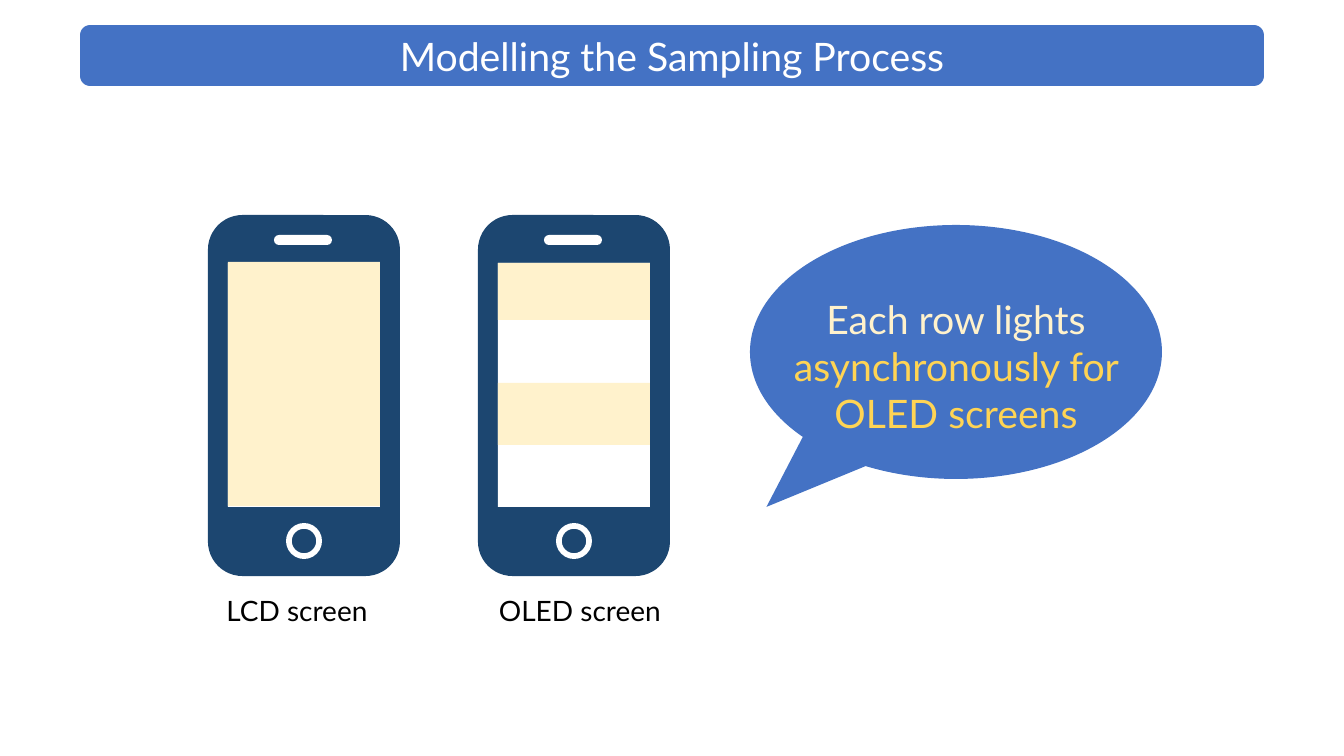
from dataclasses import dataclass

from pptx import Presentation
from pptx.dml.color import RGBColor
from pptx.enum.shapes import MSO_SHAPE
from pptx.enum.text import MSO_ANCHOR, PP_ALIGN
from pptx.util import Emu, Pt

RECTANGLE = MSO_SHAPE.RECTANGLE
ROUNDED = MSO_SHAPE.ROUNDED_RECTANGLE
RING = MSO_SHAPE.DONUT
SPEECH_BUBBLE = MSO_SHAPE.OVAL_CALLOUT
CENTER = PP_ALIGN.CENTER
MIDDLE = MSO_ANCHOR.MIDDLE
TOP = MSO_ANCHOR.TOP


@dataclass(frozen=True)
class Theme:
    font: str = "Lato"
    blue: str = "4472C4"
    navy: str = "1C4670"
    cream: str = "FFF2CC"
    yellow: str = "FFD454"
    white: str = "FFFFFF"
    black: str = "000000"
    large: int = 28
    label: int = 20


@dataclass(frozen=True)
class Box:
    left: int
    top: int
    width: int
    height: int


@dataclass(frozen=True)
class LitRow:
    top: int
    height: int


@dataclass(frozen=True)
class Phone:
    left: int
    label: str
    label_width: int
    lit_rows: tuple[LitRow, ...]


@dataclass(frozen=True)
class Line:
    text: str
    color: str
    size: int


THEME = Theme()
EMU_PER_PX = 12192000 / 1344
PAGE_WIDTH, PAGE_HEIGHT = 1344, 756

TITLE_BOX = Box(80, 25, 1184, 61)
BUBBLE_BOX = Box(750, 225, 412, 254)
BUBBLE_TEXT_BOX = Box(750, 225, 412, 281)
BUBBLE_TAIL = (-0.46, 0.61)

PHONES = (
    Phone(208, "LCD screen", 178, (LitRow(262, 244),)),
    Phone(478, "OLED screen", 204, (LitRow(263, 57), LitRow(383, 62))),
)


def px(length: int) -> Emu:
    return Emu(round(length * EMU_PER_PX))


def place(box: Box) -> tuple[Emu, Emu, Emu, Emu]:
    return px(box.left), px(box.top), px(box.width), px(box.height)


def add_filled(shapes, kind, box: Box, color: str, adjustments: tuple[float, ...] = ()):
    shape = shapes.add_shape(kind, *place(box))
    shape.shadow.inherit = False
    shape.fill.solid()
    shape.fill.fore_color.rgb = RGBColor.from_string(color)
    shape.line.fill.background()
    for index, value in enumerate(adjustments):
        shape.adjustments[index] = value
    return shape


def write(shape, lines: tuple[Line, ...], anchor) -> None:
    frame = shape.text_frame
    frame.word_wrap = True
    frame.vertical_anchor = anchor
    for index, line in enumerate(lines):
        para = frame.add_paragraph() if index else frame.paragraphs[0]
        para.text = line.text
        para.alignment = CENTER
        para.font.name = THEME.font
        para.font.size = Pt(line.size)
        para.font.color.rgb = RGBColor.from_string(line.color)


def add_phone(page, phone: Phone) -> None:
    left = phone.left
    # Case, screen, speaker and home button
    parts = page.shapes.add_group_shape().shapes
    add_filled(parts, ROUNDED, Box(left, 215, 192, 361), THEME.navy, (0.18,))
    add_filled(parts, RECTANGLE, Box(left + 20, 263, 152, 244), THEME.white)
    add_filled(parts, ROUNDED, Box(left + 66, 235, 58, 10), THEME.white, (0.5,))
    add_filled(parts, RING, Box(left + 78, 523, 36, 36), THEME.white, (0.16,))
    # Lit part of the screen
    for row in phone.lit_rows:
        row_box = Box(left + 20, row.top, 152, row.height)
        add_filled(page.shapes, RECTANGLE, row_box, THEME.cream)
    # Label
    label = page.shapes.add_textbox(*place(Box(left, 589, phone.label_width, 44)))
    write(label, (Line(phone.label, THEME.black, THEME.label),), TOP)


def main() -> None:
    deck = Presentation()
    deck.slide_width, deck.slide_height = px(PAGE_WIDTH), px(PAGE_HEIGHT)
    page = deck.slides.add_slide(deck.slide_layouts[6])

    # Title bar
    title = add_filled(page.shapes, ROUNDED, TITLE_BOX, THEME.blue)
    write(title, (Line("Modelling the Sampling Process", THEME.white, THEME.large),), MIDDLE)

    # Phones
    for phone in PHONES:
        add_phone(page, phone)

    # Speech bubble
    add_filled(page.shapes, SPEECH_BUBBLE, BUBBLE_BOX, THEME.blue, BUBBLE_TAIL)
    remark = page.shapes.add_textbox(*place(BUBBLE_TEXT_BOX))
    write(remark, (
        Line("Each row lights", THEME.cream, THEME.large),
        Line("asynchronously for OLED screens", THEME.yellow, THEME.large),
    ), MIDDLE)

    deck.save("out.pptx")


if __name__ == "__main__":
    main()
